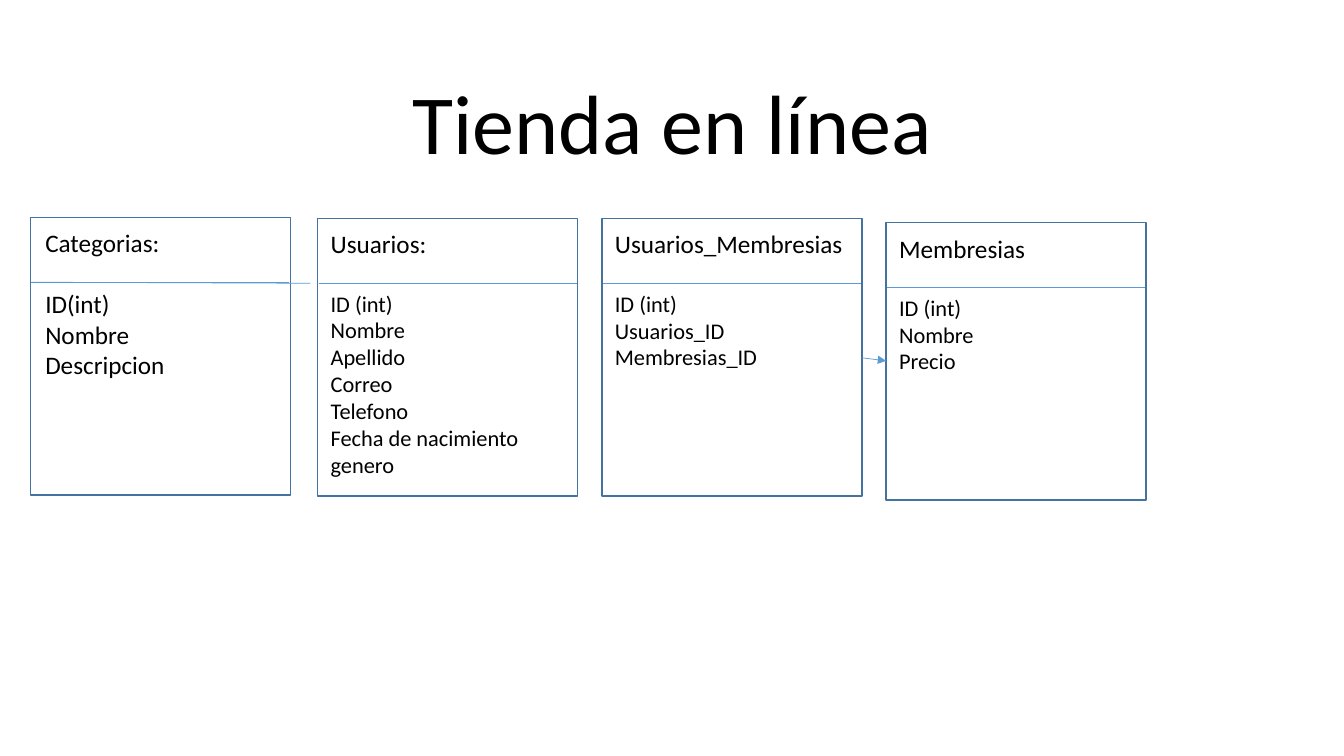
from dataclasses import dataclass
from lxml.etree import SubElement
from pptx import Presentation
from pptx.dml.color import RGBColor
from pptx.enum.shapes import MSO_CONNECTOR, MSO_SHAPE
from pptx.enum.text import MSO_ANCHOR, MSO_AUTO_SIZE, PP_ALIGN
from pptx.oxml.ns import qn
from pptx.util import Inches, Pt


@dataclass
class Theme:
    font: str = "Calibri"
    ink: RGBColor = RGBColor(0x00, 0x00, 0x00)
    border: RGBColor = RGBColor(0x43, 0x73, 0x9E)
    rule: RGBColor = RGBColor(0x5B, 0x9B, 0xD5)
    title: Pt = Pt(60)
    name: Pt = Pt(18)
    field: Pt = Pt(16)
    gap: Pt = Pt(22)


theme = Theme()
prs = Presentation()
prs.slide_width, prs.slide_height = Inches(13.33), Inches(7.5)
col, row = prs.slide_width / 100, prs.slide_height / 100
s = prs.slides.add_slide(prs.slide_layouts[0])


def add_run(p, text, size):
    r = p.add_run()
    r.text = text
    r.font.name, r.font.size = theme.font, size
    r.font.color.rgb = theme.ink


def add_line(x1, y1, x2, y2):
    ln = s.shapes.add_connector(
        MSO_CONNECTOR.STRAIGHT, int(x1 * col), int(y1 * row), int(x2 * col), int(y2 * row))
    ln.line.color.rgb, ln.line.width = theme.rule, Pt(0.5)
    SubElement(ln._element.spPr, qn("a:effectLst"))
    return ln


title, subtitle = s.placeholders
subtitle.element.getparent().remove(subtitle.element)
title.left, title.top = int(12.5 * col), int(3.6 * row)
title.width, title.height = int(75 * col), int(19.87 * row)
tf = title.text_frame
tf.auto_size, tf.vertical_anchor = MSO_AUTO_SIZE.NONE, MSO_ANCHOR.BOTTOM
p = tf.paragraphs[0]
p.alignment, p.line_spacing = PP_ALIGN.CENTER, 0.9
add_run(p, "Tienda en línea", theme.title)

box_w, box_h, head_h = 19.35, 36.67, 8.53
first, pitch = 23.63, 21.15
entities = [
    (2.25, 28.8, 0.38, theme.name, "Categorias:", ["ID(int)", "Nombre", "Descripcion"]),
    (first, 28.93, 0.23, theme.field, "Usuarios:",
     ["ID (int)", "Nombre", "Apellido", "Correo", "Telefono", "Fecha de nacimiento", "genero"]),
    (first + pitch, 28.93, 0.23, theme.field, "Usuarios_Membresias",
     ["ID (int)", "Usuarios_ID", "Membresias_ID"]),
    (first + 2 * pitch, 29.47, 0.23, theme.field, "Membresias", ["ID (int)", "Nombre", "Precio"]),
]

for x, y, inset, size, name, fields in entities:
    box = s.shapes.add_shape(
        MSO_SHAPE.RECTANGLE, int(x * col), int(y * row), int(box_w * col), int(box_h * row))
    box.shadow.inherit = False
    box.fill.background()
    box.line.color.rgb, box.line.width = theme.border, Pt(1)
    add_line(x + 0.08, y + head_h, x + box_w - 0.08, y + head_h)

    text_h = 9.33 + 3.6 * len(fields) * size / theme.field
    tb = s.shapes.add_textbox(
        int((x + inset) * col), int((y + 0.67) * row), int(19.2 * col), int(text_h * row))
    tf = tb.text_frame
    tf.word_wrap, tf.auto_size = True, MSO_AUTO_SIZE.SHAPE_TO_FIT_TEXT
    add_run(tf.paragraphs[0], name, theme.name)
    for i, field in enumerate(fields):
        p = tf.add_paragraph()
        p.space_before = theme.gap if i == 0 else Pt(0)
        add_run(p, field, size)

add_line(2.4, 37.33, 23.1, 37.47)
arrow = add_line(first + pitch + box_w, 47.33, first + 2 * pitch, 47.73)
SubElement(arrow.line._get_or_add_ln(), qn("a:tailEnd"), type="triangle")

prs.save("out.pptx")
